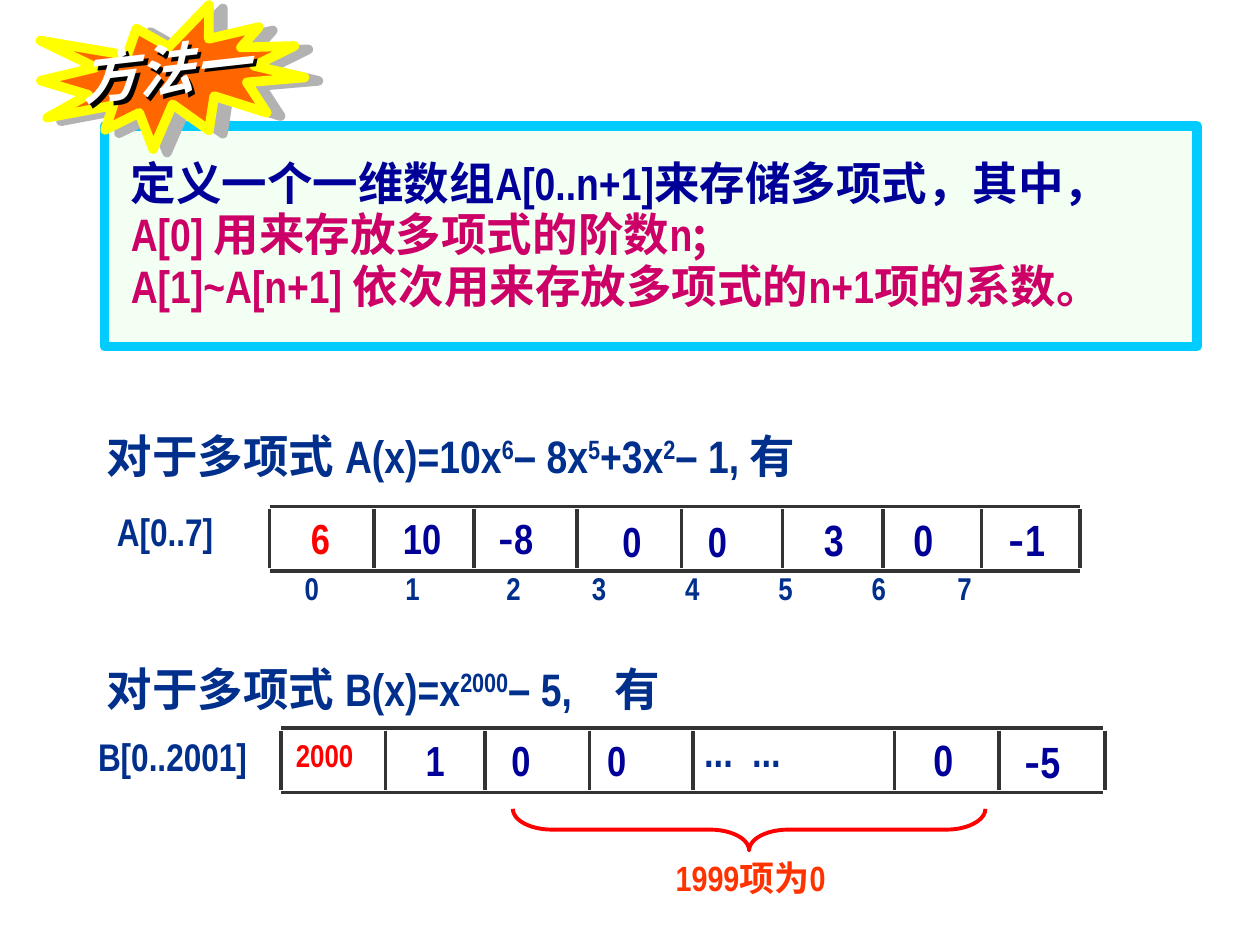
from lxml import etree
from pptx import Presentation
from pptx.dml.color import RGBColor
from pptx.enum.shapes import MSO_CONNECTOR, MSO_SHAPE
from pptx.enum.text import MSO_ANCHOR, MSO_AUTO_SIZE
from pptx.oxml.ns import qn
from pptx.util import Inches, Pt

STRAIGHT = MSO_CONNECTOR.STRAIGHT
RECTANGLE = MSO_SHAPE.RECTANGLE
BURST = MSO_SHAPE.EXPLOSION1
BRACE = MSO_SHAPE.LEFT_BRACE
MIDDLE = MSO_ANCHOR.MIDDLE
GROW = MSO_AUTO_SIZE.SHAPE_TO_FIT_TEXT

LATIN = "Arial Narrow"
CJK = "Noto Sans CJK SC"
COLORS = {
    "heading": "002F8C", "value": "000099", "rule": "CC0066", "degree": "FF0000",
    "note": "FF3300", "grid": "333333", "panel": "F3FFF3", "frame": "00CCFF",
    "burst": "FF6600", "edge": "FFFF00", "burst shadow": "B2B2B2",
    "white": "FFFFFF", "black": "000000",
}
SUP = {"baseline": 30000}
DASH = {"size": 28}
HAN = {"name": CJK}


def rgb(color):
    return RGBColor.from_string(COLORS[color])


def add_run(paragraph, text, name=LATIN, size=24, color="value", italic=False, baseline=0):
    run = paragraph.add_run()
    run.text = text
    values = {"name": name, "size": Pt(size), "bold": True, "italic": italic}
    for attribute, value in values.items():
        setattr(run.font, attribute, value)
    run.font.color.rgb = rgb(color)
    properties = run.font._element
    if baseline:
        properties.set("baseline", str(baseline))
    etree.SubElement(properties, qn("a:ea")).set("typeface", CJK)


def add_text(slide, box, paragraphs, tabs=(), indent=0, spacing=None, anchor=None, **style):
    """Each paragraph is a list of (text, style overrides) pairs."""
    shape = slide.shapes.add_textbox(*map(Inches, box))
    frame = shape.text_frame
    frame.word_wrap = True
    if anchor is None:
        frame.auto_size = GROW
    else:
        frame.vertical_anchor = anchor
    for number, runs in enumerate(paragraphs):
        paragraph = frame.paragraphs[0] if number == 0 else frame.add_paragraph()
        if spacing:
            paragraph.line_spacing = spacing
        properties = paragraph._p.get_or_add_pPr()
        if indent:
            properties.set("marL", str(Inches(indent)))
        if tabs:
            stops = etree.SubElement(properties, qn("a:tabLst"))
            for stop in tabs:
                etree.SubElement(stops, qn("a:tab"), pos=str(Inches(stop)), algn="l")
        for text, override in runs:
            add_run(paragraph, text, **{**style, **override})
    return shape


def add_label(slide, box, text, **style):
    return add_text(slide, box, [[(text, {})]], **style)


def add_shape(slide, kind, box, line, width, fill=None):
    shape = slide.shapes.add_shape(kind, *map(Inches, box))
    shape.shadow.inherit = False
    if fill:
        shape.fill.solid()
        shape.fill.fore_color.rgb = rgb(fill)
    else:
        shape.fill.background()
    shape.line.color.rgb = rgb(line)
    shape.line.width = Pt(width)
    return shape


def add_shadow(shape, color, distance, angle):
    shape.shadow.inherit = False
    effects = shape._element.spPr.find(qn("a:effectLst"))
    shadow = etree.SubElement(effects, qn("a:outerShdw"), dist=str(Pt(distance)),
                              dir=str(angle * 60000), algn="ctr", rotWithShape="0")
    etree.SubElement(shadow, qn("a:srgbClr"), val=COLORS[color])


def add_line(slide, start, end, width):
    line = slide.shapes.add_connector(STRAIGHT, *map(Inches, start + end))
    line.line.color.rgb = rgb("grid")
    line.line.width = Pt(width)
    etree.SubElement(line._element.spPr, qn("a:effectLst"))


def add_grid(slide, dividers, right, top, bottom, width):
    """Draws one row of array cells: its dividers, then its two long edges."""
    for x in dividers:
        add_line(slide, (x, top + 0.02), (x, bottom - 0.02), 2)
    for y in (top, bottom):
        add_line(slide, (dividers[0], y), (right, y), width)


def add_negative(slide, box, digit):
    add_text(slide, box, [[("-", HAN), (digit, {})]], size=25)


def add_headings(slide):
    style = {"size": 26, "color": "heading"}
    add_text(slide, (0.75, 3.32, 6.58, 0.57), [[
        ("对于多项式 ", HAN), ("A(x)=10x", {}), ("6", SUP), ("–", DASH), (" 8x", {}),
        ("5", SUP), ("+3x", {}), ("2", SUP), ("–", DASH), (" 1, 有", {})]], **style)
    add_text(slide, (0.75, 5.17, 5.5, 0.57), [[
        ("对于多项式 ", HAN), ("B(x)=x", {}), ("2000", SUP), ("–", DASH),
        (" 5,\t有", {})]], tabs=[4.03], **style)


def add_zero_note(slide):
    add_text(slide, (5.2, 6.75, 1.87, 0.44),
             [[(" 1999", {}), ("项为", HAN), ("0", {})]], size=20, color="note")
    brace = add_shape(slide, BRACE, (5.78, 4.71, 0.33, 3.75), "degree", 2.25)
    brace.adjustments[0] = 0.94
    brace.rotation = 90
    for flip in ("flipH", "flipV"):
        brace._element.spPr.xfrm.set(flip, "1")


def add_definition(slide):
    add_shape(slide, RECTANGLE, (0.83, 1, 8.67, 1.75), "frame", 5.5, "panel")
    blue = {"color": "value"}
    add_text(slide, (0.77, 1.21, 8.65, 1.35), [
        [("定义一个一维数组", {**HAN, **blue}), ("A[0..n+1]", blue),
         ("来存储多项式，其中，", {**HAN, **blue})],
        [("A[0] ", {}), ("用来存放多项式的阶数", HAN), ("n", {}), (";", HAN)],
        [("A[1]~A[n+1] ", {}), ("依次用来存放多项式的", HAN), ("n+1", {}),
         ("项的系数。", HAN)],
    ], indent=0.17, spacing=0.95, size=26, color="rule")


def add_badge(slide):
    burst = add_shape(slide, BURST, (0.33, 0.08, 2.08, 1.08), "edge", 5.5, "burst")
    burst.rotation = 352.9
    add_shadow(burst, "burst shadow", 8.2, 14)
    title = add_label(slide, (0.54, 0.18, 2.5, 0.64), "方法一",
                      name=CJK, size=32, color="white", italic=True)
    title.rotation = 353.6
    add_shadow(title, "black", 2.8, 45)


def add_array_a(slide):
    add_grid(slide, (2.14, 2.97, 3.76, 4.58, 5.41, 6.21, 7.01, 7.79, 8.57),
             8.57, 4.02, 4.53, 2)
    add_label(slide, (0.83, 3.98, 1.34, 0.47), "A[0..7]", size=22, color="heading")
    add_label(slide, (2.37, 4.02, 0.63, 0.51), "6", color="degree")
    add_text(slide, (3.1, 4.02, 2.1, 0.51), [[("10\t", {}), ("-", HAN), ("8", {})]],
             tabs=[0.76])
    add_label(slide, (4.84, 4.04, 1.81, 0.51), "0\t0", tabs=[0.68])
    add_label(slide, (6.44, 4.02, 1.42, 0.52), "3\t0", tabs=[0.71], size=25)
    add_negative(slide, (7.91, 4.02, 1.3, 0.52), "1")
    # Subscripts under the cells
    add_label(slide, (2.32, 4.47, 6.54, 0.4), "\t".join(map(str, range(8))),
              tabs=(0.8, 1.6, 2.28, 3.02, 3.76, 4.5, 5.18), size=18, color="heading")


def add_array_b(slide):
    add_grid(slide, (2.23, 3.06, 3.85, 4.68, 5.5, 7.1, 7.93, 8.77),
             8.75, 5.78, 6.29, 2.25)
    add_label(slide, (0.68, 5.77, 2.36, 0.47), "B[0..2001]", size=22, color="heading")
    add_label(slide, (2.25, 5.79, 1.53, 0.4), "2000", size=18, color="degree")
    add_label(slide, (3.28, 5.78, 2.6, 0.51), "1\t0\t0", tabs=(0.68, 1.44))
    add_label(slide, (5.49, 5.75, 1.68, 0.42), "...\t...", tabs=[0.38],
              anchor=MIDDLE, color="heading")
    add_label(slide, (7.31, 5.77, 1.42, 0.52), "0", size=25)
    add_negative(slide, (8.03, 5.78, 1.3, 0.52), "5")


def main():
    deck = Presentation()
    deck.slide_width, deck.slide_height = Inches(10), Inches(7.5)
    slide = deck.slides.add_slide(deck.slide_layouts[6])
    for add_part in (add_headings, add_zero_note, add_definition, add_badge,
                     add_array_a, add_array_b):
        add_part(slide)
    deck.save("out.pptx")


if __name__ == "__main__":
    main()
